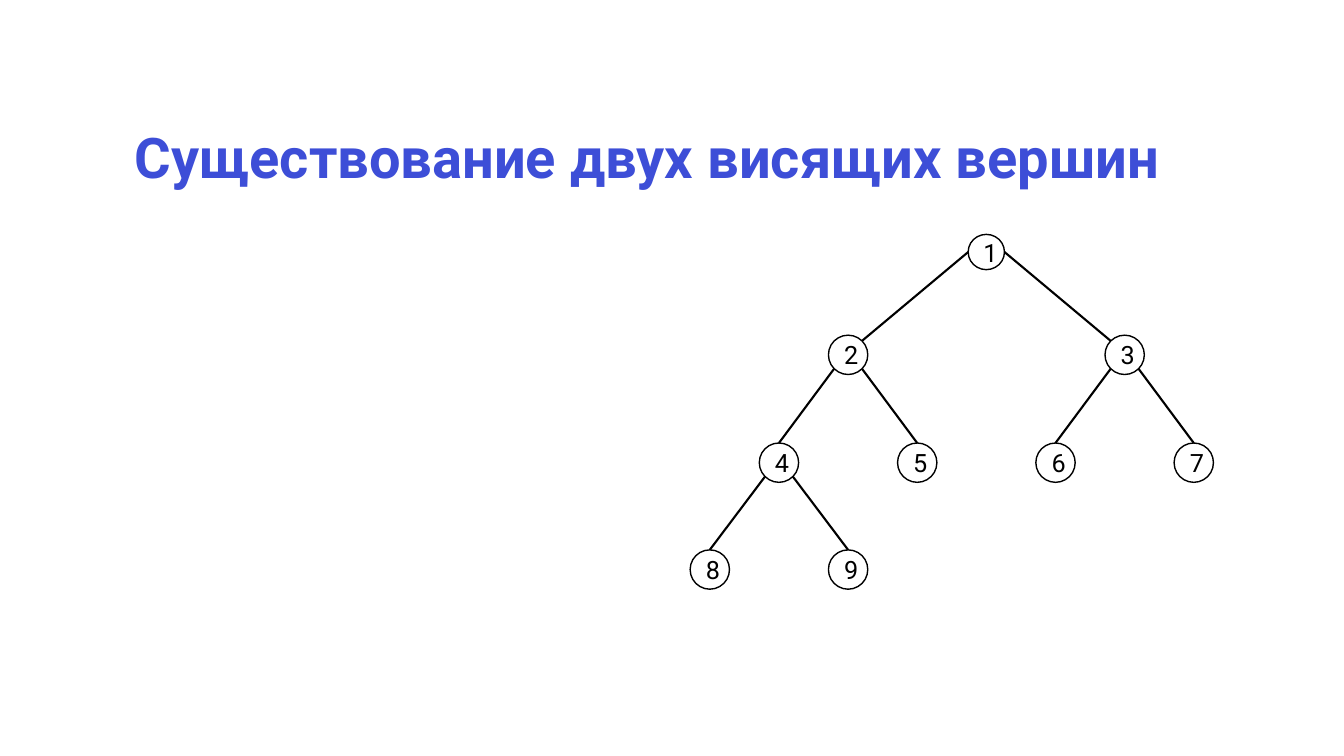
from dataclasses import dataclass
from math import cos, radians, sin

import pptx
import pptx.dml.color
import pptx.enum.shapes
import pptx.enum.text
import pptx.oxml.ns
import pptx.shapes.connector
import pptx.slide
import pptx.text.text
import pptx.util
from lxml import etree


@dataclass(frozen=True)
class Theme:
    font: str = "Roboto"
    heading: str = "3D4ED7"
    ink: str = "000000"
    paper: str = "FFFFFF"
    heading_size: int = 40
    label_size: int = 18
    outline_width: float = 1
    edge_width: float = 1.5


@dataclass(frozen=True)
class Vertex:
    label: str
    column: int
    row: int
    width: float = 0.39
    height: float = 0.39

    @property
    def center(self) -> tuple[float, float]:
        return FIRST_COLUMN + TREE_SPAN * self.column / 7, ROW_CENTERS[self.row]

    def rim(self, angle: float) -> tuple[float, float]:
        x, y = self.center
        return (
            x + self.width / 2 * cos(radians(angle)),
            y + self.height / 2 * sin(radians(angle)),
        )


@dataclass(frozen=True)
class Edge:
    parent: str
    child: str
    leave_angle: float
    arrive_angle: float = -90


THEME = Theme()
FIRST_COLUMN = 7.04
TREE_SPAN = 4.8
ROW_CENTERS = (2.5, 3.52, 4.59, 5.65)

VERTICES = (
    Vertex("1", 4, 0, 0.36, 0.35),
    Vertex("2", 2, 1),
    Vertex("3", 6, 1),
    Vertex("4", 1, 2),
    Vertex("5", 3, 2),
    Vertex("6", 5, 2),
    Vertex("7", 7, 2),
    Vertex("8", 0, 3),
    Vertex("9", 2, 3),
)
EDGES = (
    Edge("1", "2", 180, -45),
    Edge("1", "3", 0, -135),
    Edge("2", "4", 135),
    Edge("2", "5", 45),
    Edge("3", "6", 135),
    Edge("3", "7", 45),
    Edge("4", "8", 135),
    Edge("4", "9", 45),
)


def rgb(color: str) -> pptx.dml.color.RGBColor:
    return pptx.dml.color.RGBColor.from_string(color)


def write_text(
    frame: pptx.text.text.TextFrame,
    text: str,
    *,
    size: float,
    color: str,
    bold: bool = False,
    align: pptx.enum.text.PP_ALIGN = pptx.enum.text.PP_ALIGN.LEFT,
    anchor: pptx.enum.text.MSO_ANCHOR = pptx.enum.text.MSO_ANCHOR.TOP,
    line_spacing: float = 1.0,
) -> None:
    frame.word_wrap = True
    frame.vertical_anchor = anchor
    paragraph = frame.paragraphs[0]
    paragraph.alignment = align
    paragraph.line_spacing = line_spacing
    run = paragraph.add_run()
    run.text = text
    run.font.name = THEME.font
    run.font.size = pptx.util.Pt(size)
    run.font.bold = bold
    run.font.color.rgb = rgb(color)


def draw_heading(slide: pptx.slide.Slide, text: str) -> None:
    heading = slide.shapes.add_textbox(
        *map(pptx.util.Inches, (1.24, 1.24, 10.85, 0.8))
    )
    write_text(
        heading.text_frame,
        text,
        size=THEME.heading_size,
        color=THEME.heading,
        bold=True,
        line_spacing=0.9,
    )


def draw_vertex(slide: pptx.slide.Slide, vertex: Vertex) -> None:
    x, y = vertex.center
    bounds = (x - vertex.width / 2, y - vertex.height / 2, vertex.width, vertex.height)
    circle = slide.shapes.add_shape(
        pptx.enum.shapes.MSO_SHAPE.OVAL, *map(pptx.util.Inches, bounds)
    )
    circle.shadow.inherit = False
    circle.fill.solid()
    circle.fill.fore_color.rgb = rgb(THEME.paper)
    circle.line.color.rgb = rgb(THEME.ink)
    circle.line.width = pptx.util.Pt(THEME.outline_width)
    write_text(
        circle.text_frame,
        vertex.label,
        size=THEME.label_size,
        color=THEME.ink,
        align=pptx.enum.text.PP_ALIGN.CENTER,
        anchor=pptx.enum.text.MSO_ANCHOR.MIDDLE,
    )


def draw_edge(
    slide: pptx.slide.Slide, edge: Edge, vertices: dict[str, Vertex]
) -> None:
    start = vertices[edge.parent].rim(edge.leave_angle)
    end = vertices[edge.child].rim(edge.arrive_angle)
    branch: pptx.shapes.connector.Connector = slide.shapes.add_connector(
        pptx.enum.shapes.MSO_CONNECTOR.STRAIGHT,
        *map(pptx.util.Inches, start + end),
    )
    branch.line.color.rgb = rgb(THEME.ink)
    branch.line.width = pptx.util.Pt(THEME.edge_width)
    etree.SubElement(branch._element.spPr, pptx.oxml.ns.qn("a:effectLst"))


def main() -> None:
    presentation = pptx.Presentation()
    presentation.slide_width = pptx.util.Inches(13.33)
    presentation.slide_height = pptx.util.Inches(7.5)
    slide = presentation.slides.add_slide(presentation.slide_layouts[6])
    draw_heading(slide, "Существование двух висящих вершин")
    for vertex in VERTICES:
        draw_vertex(slide, vertex)
    vertices = {vertex.label: vertex for vertex in VERTICES}
    for edge in EDGES:
        draw_edge(slide, edge, vertices)
    presentation.save("out.pptx")


if __name__ == "__main__":
    main()
